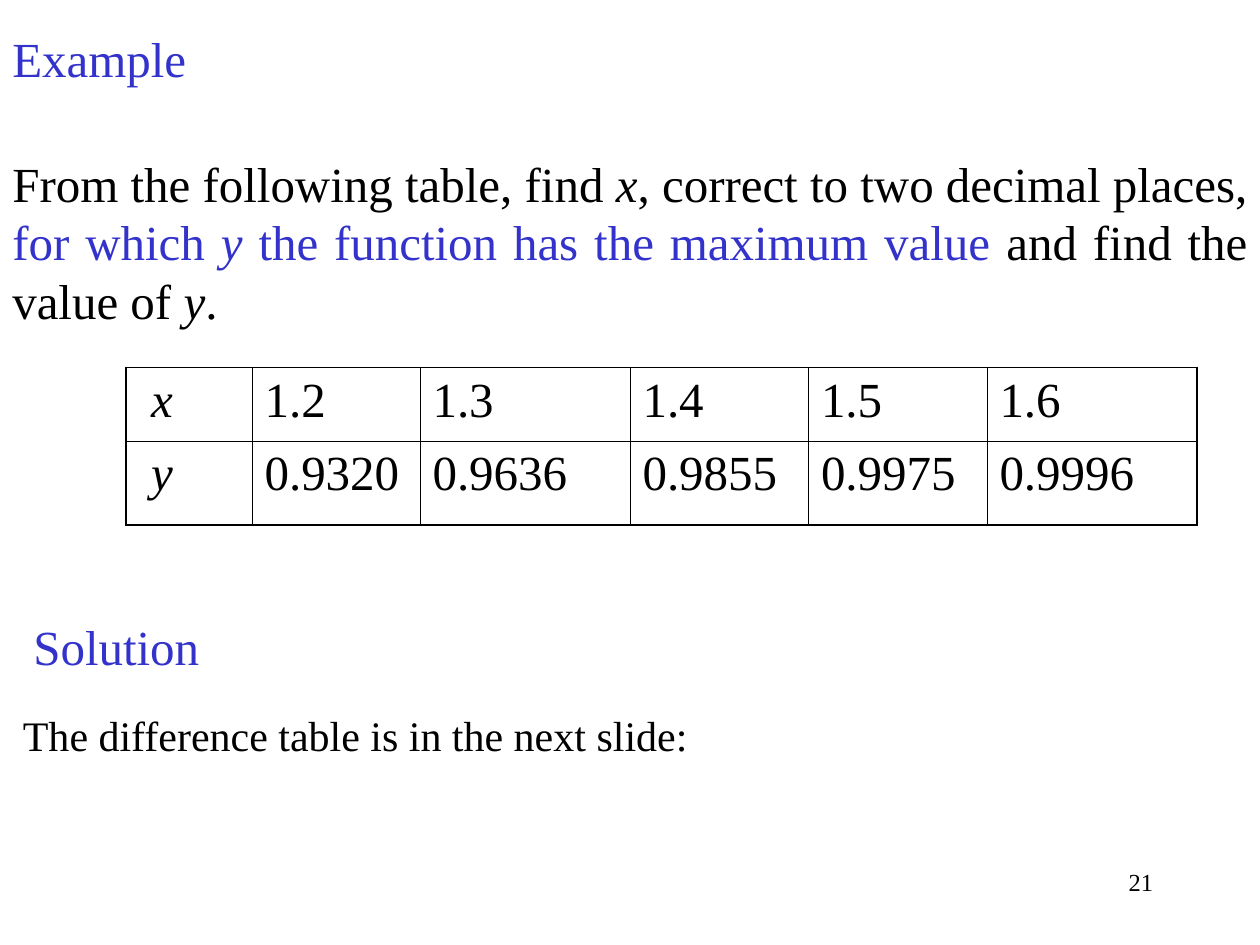
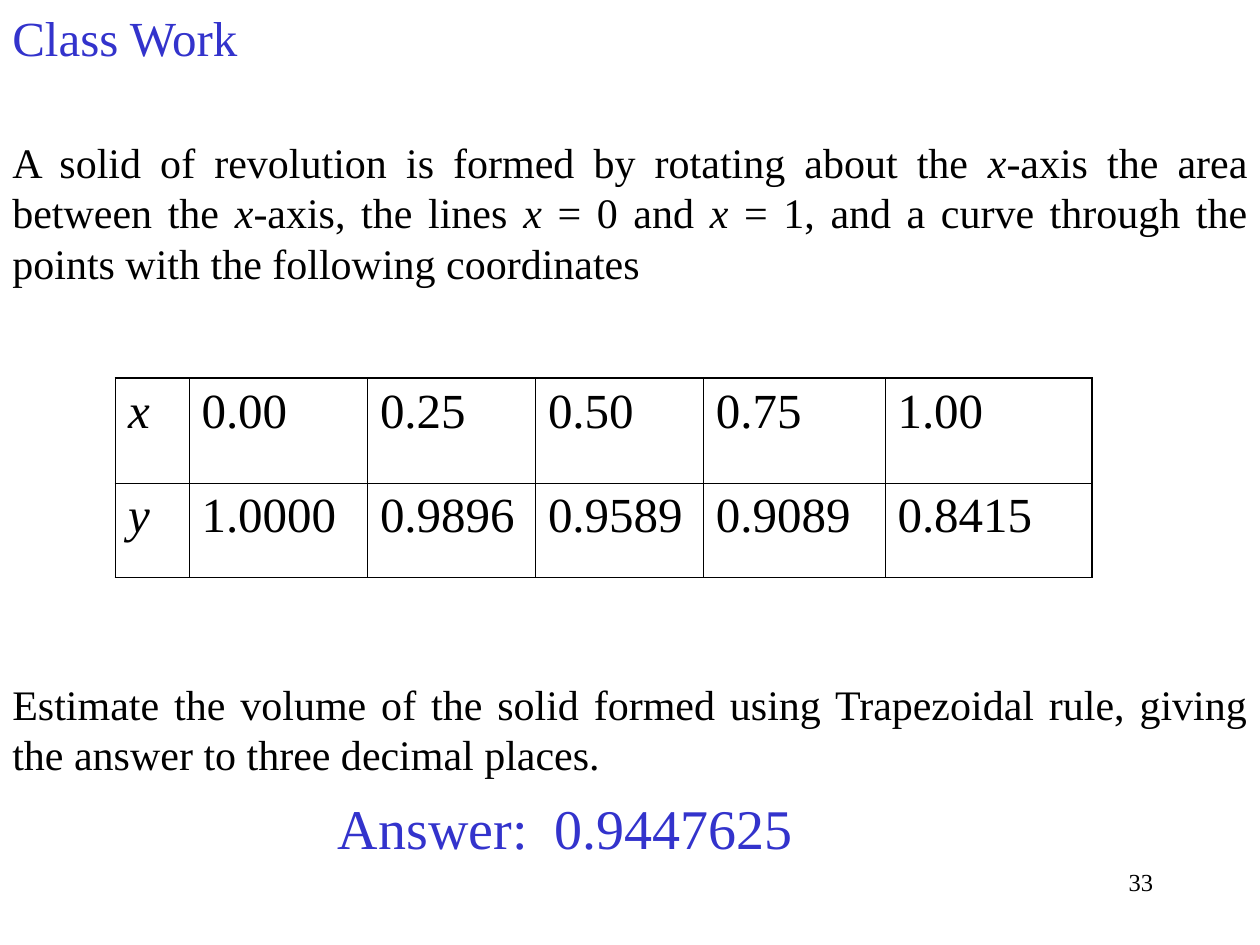
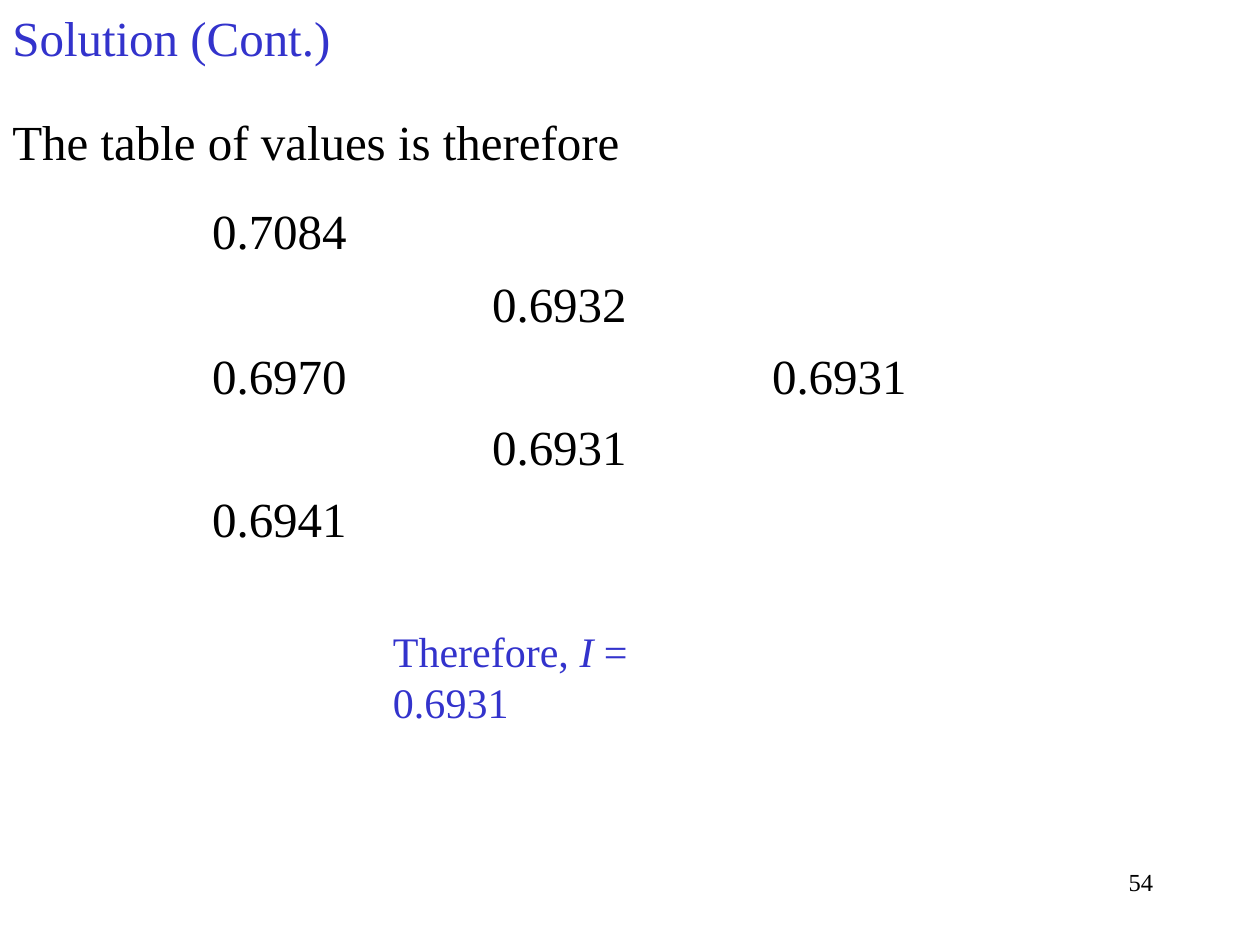
from dataclasses import dataclass
from typing import NamedTuple, Optional, Sequence

from lxml.etree import SubElement
from pptx import Presentation
from pptx.dml.color import RGBColor
from pptx.enum.text import MSO_ANCHOR as Anchor, PP_ALIGN as Align
from pptx.oxml import parse_xml
from pptx.oxml.ns import nsdecls, qn
from pptx.util import Inches, Pt

COLORS = {"text": "000000", "accent": "3333CC"}
FONT = "Times New Roman"
SLIDE_W, SLIDE_H = Inches(10), Inches(7.5)
UNIT = SLIDE_W / 120  # the grid has 120 columns and 90 rows
OUTER_PT, INNER_PT = 1.08, 0.45
SPACE_INDENT = 0.1  # inches


class Box(NamedTuple):
    """Left, top, width and height in grid units."""
    x: float
    y: float
    w: float
    h: float


class Run(NamedTuple):
    text: str
    italic: bool = False
    color: Optional[str] = None


@dataclass
class Text:
    box: Box
    runs: Sequence[Run]
    size: int = 28
    color: str = "text"
    align: Align = Align.JUSTIFY
    anchor: Anchor = Anchor.TOP
    wrap: bool = True
    tab: float = 0  # inches


@dataclass
class Grid:
    x: float
    y: float
    cols: Sequence[float]
    rows: Sequence[float]
    cells: Sequence[Sequence[str]]
    ruled: bool = True
    label_indent: float = 0


NUMBER_BOX = Box(86, 82, 25, 6)


def plain(text: str) -> list[Run]:
    return [Run(text)]


def var(name: str, color: Optional[str] = None) -> Run:
    return Run(name, True, color)


def heading(text: str, x: float = 0, y: float = 0) -> Text:
    return Text(Box(x, y, 81, 7), plain(text), color="accent",
                align=Align.LEFT, anchor=Anchor.MIDDLE)


def rgb(name: str) -> RGBColor:
    return RGBColor.from_string(COLORS[name])


def units(*values: float) -> list[int]:
    return [round(v * UNIT) for v in values]


def style(p, size: int, color: str) -> None:
    p.font.name = FONT
    p.font.size = Pt(size)
    p.font.color.rgb = rgb(color)


def add_tab(p, inches: float) -> None:
    tabs = SubElement(p._p.get_or_add_pPr(), qn("a:tabLst"))
    SubElement(tabs, qn("a:tab"), pos=str(Inches(inches)), algn="l")


def add_text(s, t: Text) -> None:
    tf = s.shapes.add_textbox(*units(*t.box)).text_frame
    tf.word_wrap = t.wrap
    tf.vertical_anchor = t.anchor
    p = tf.paragraphs[0]
    p.alignment = t.align
    if t.tab:
        add_tab(p, t.tab)
    style(p, t.size, t.color)
    for run in t.runs:
        r = p.add_run()
        r.text = run.text
        if run.italic:
            r.font.italic = True
        if run.color:
            r.font.color.rgb = rgb(run.color)


def set_borders(cell, widths: dict[str, float]) -> None:
    """Put a line on each side (L, R, T, B); a width of 0 hides it."""
    tc_pr = cell._tc.get_or_add_tcPr()
    for i, (side, width) in enumerate(widths.items()):
        fill = (f'<a:solidFill><a:srgbClr val="{COLORS["text"]}"/></a:solidFill>'
                if width else "<a:noFill/>")
        tc_pr.insert(i, parse_xml(
            f'<a:ln{side} {nsdecls("a")} w="{Pt(width)}">{fill}</a:ln{side}>'))


def add_grid(s, g: Grid) -> None:
    n_rows, n_cols = len(g.rows), len(g.cols)
    frame = s.shapes.add_table(
        n_rows, n_cols, *units(g.x, g.y, sum(g.cols), sum(g.rows)))
    table = frame.table
    table.first_row = table.horz_banding = False
    for col, width in zip(table.columns, units(*g.cols)):
        col.width = width
    for row, height in zip(table.rows, units(*g.rows)):
        row.height = height
    for i, values in enumerate(g.cells):
        for j, value in enumerate(values):
            cell = table.cell(i, j)
            cell.fill.background()
            at_edge = {"L": j == 0, "R": j == n_cols - 1,
                       "T": i == 0, "B": i == n_rows - 1}
            set_borders(cell, {
                side: (OUTER_PT if edge else INNER_PT) if g.ruled else 0
                for side, edge in at_edge.items()})
            if j == 0:
                cell.margin_left = Inches(0.1 + g.label_indent)
            p = cell.text_frame.paragraphs[0]
            style(p, 28, "text")
            p.font.italic = value.isalpha()
            if value:
                p.add_run().text = value


EXAMPLE = [
    heading("Example", y=2),
    Text(Box(0, 14, 120, 18), [
        Run("From the following table, find "), var("x"),
        Run(", correct to two decimal places, "),
        Run("for which ", color="accent"), var("y", "accent"),
        Run(" the function has the maximum value", color="accent"),
        Run(" and find the value of "), var("y"), Run(".")]),
    Grid(12, 35, [12, 16, 20, 17, 17, 20], [7, 8], [
        ["x", "1.2", "1.3", "1.4", "1.5", "1.6"],
        ["y", "0.9320", "0.9636", "0.9855", "0.9975", "0.9996"]],
        label_indent=SPACE_INDENT),
    heading("Solution", x=2, y=58),
    Text(Box(1, 67, 120, 13.3),
         plain("The difference table is in the next slide:"), size=24),
]

CLASS_WORK = [
    heading("Class Work"),
    Text(Box(0, 12.4, 120, 15.6), [
        Run("A solid of revolution is formed by rotating about the "), var("x"),
        Run("-axis the area between the "), var("x"),
        Run("-axis, the lines "), var("x "), Run("= 0 and "), var("x "),
        Run("= 1, and a curve through the points with the following "
            "coordinates")], size=24),
    Grid(11, 36, [7, 17, 16, 16, 17.3, 19.7], [10, 9], [
        ["x", "0.00", "0.25", "0.50", "0.75", "1.00"],
        ["y", "1.0000", "0.9896", "0.9589", "0.9089", "0.8415"]]),
    Text(Box(31, 75, 49, 7.7), plain("Answer:\t0.9447625"), size=32,
         color="accent", align=Align.LEFT, tab=1.72),
    Text(Box(0, 64, 120, 10.8),
         plain("Estimate the volume of the solid formed using Trapezoidal "
               "rule, giving the answer to three decimal places."), size=24),
]

SOLUTION = [
    heading("Solution (Cont.)"),
    Text(Box(0, 10, 120, 6.8), plain("The table of values is therefore")),
    Grid(19, 19, [80 / 3] * 3, [7, 6.8, 6.8, 6.8, 7.6], [
        ["0.7084", "", ""],
        ["", "0.6932", ""],
        ["0.6970", "", "0.6931"],
        ["", "0.6931", ""],
        ["0.6941", "", ""]], ruled=False),
    Text(Box(36.25, 59, 36.7, 6),
         [Run("Therefore, "), var("I"), Run(" = 0.6931")], size=24,
         color="accent", align=Align.LEFT, wrap=False),
]

SLIDES = {21: EXAMPLE, 33: CLASS_WORK, 54: SOLUTION}


def main() -> None:
    prs = Presentation()
    prs.slide_width, prs.slide_height = SLIDE_W, SLIDE_H
    for number, items in SLIDES.items():
        s = prs.slides.add_slide(prs.slide_layouts[6])
        for item in items:
            if isinstance(item, Grid):
                add_grid(s, item)
            else:
                add_text(s, item)
        add_text(s, Text(NUMBER_BOX, plain(str(number)), size=14,
                         align=Align.RIGHT))
    prs.save("out.pptx")


if __name__ == "__main__":
    main()
